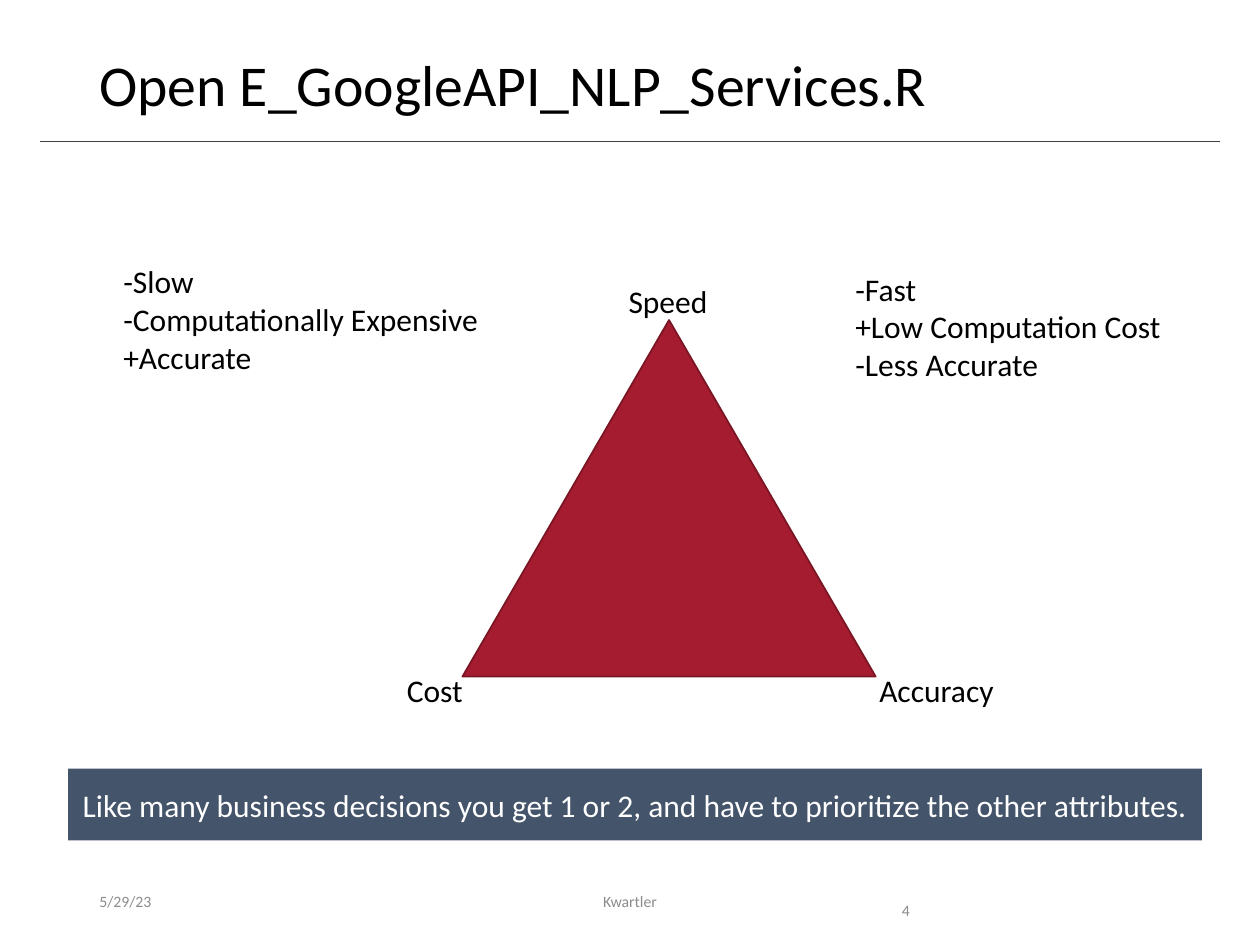
from dataclasses import dataclass

from lxml.etree import SubElement
from pptx import Presentation
from pptx.dml.color import RGBColor
from pptx.enum.shapes import MSO_CONNECTOR, MSO_SHAPE
from pptx.enum.text import MSO_ANCHOR, MSO_AUTO_SIZE, PP_ALIGN
from pptx.oxml.ns import qn
from pptx.slide import Slide
from pptx.text.text import TextFrame
from pptx.util import Inches, Pt

COLORS = {
    "black": "000000",
    "white": "FFFFFF",
    "footer": "8C8C8C",
    "rule": "404040",
    "crimson": "A51C30",
    "crimson_edge": "7A1524",
    "slate": "44546A",
}


@dataclass(frozen=True)
class Label:
    """A block of text lines with its place and style."""

    lines: tuple[str, ...]
    left: float
    top: float
    width: float
    height: float = 0.4
    size: float = 18
    color: str = "black"
    wrap: bool = False
    align: PP_ALIGN = PP_ALIGN.LEFT
    anchor: MSO_ANCHOR = MSO_ANCHOR.TOP
    spacing: float = 1.0


FOOTER = {"top": 6.95, "size": 9, "color": "footer", "wrap": True}

LABELS = (
    Label(("Open E_GoogleAPI_NLP_Services.R",), 0.69, 0.4, 8.62, 0.65,
          size=33, wrap=True, spacing=0.9),
    Label(("Speed",), 4.89, 2.19, 0.84),
    Label(("Cost",), 3.13, 5.28, 0.65),
    Label(("Accuracy",), 6.88, 5.28, 1.12),
    Label(("-Fast", "+Low Computation Cost", "-Less Accurate"), 6.69, 2.09, 2.66, 1.01),
    Label(("-Slow", "-Computationally Expensive", "+Accurate"), 0.88, 2.03, 3.05, 1.01),
    Label(("5/29/23",), left=0.69, width=2.25, anchor=MSO_ANCHOR.MIDDLE, **FOOTER),
    Label(("Kwartler",), left=3.31, width=3.38, align=PP_ALIGN.CENTER,
          anchor=MSO_ANCHOR.MIDDLE, **FOOTER),
    Label(("4",), left=7.06, width=0.94, spacing=2.0, **FOOTER),
)

BANNER = Label(
    ("Like many business decisions you get 1 or 2, and have to prioritize the other attributes.",),
    0.54, 6.1, 9, 0.57, color="white", wrap=True,
    align=PP_ALIGN.CENTER, anchor=MSO_ANCHOR.MIDDLE,
)


def rgb(name: str) -> RGBColor:
    """Look up a named colour."""
    return RGBColor.from_string(COLORS[name])


def write_text(frame: TextFrame, label: Label) -> None:
    """Fill a text frame with the lines of a label."""
    frame.word_wrap = label.wrap
    frame.auto_size = MSO_AUTO_SIZE.NONE if label.wrap else MSO_AUTO_SIZE.SHAPE_TO_FIT_TEXT
    frame.vertical_anchor = label.anchor
    for index, line in enumerate(label.lines):
        para = frame.add_paragraph() if index else frame.paragraphs[0]
        para.alignment = label.align
        para.line_spacing = label.spacing
        span = para.add_run()
        span.text = line
        span.font.name = "Calibri"
        span.font.size = Pt(label.size)
        span.font.color.rgb = rgb(label.color)


def add_label(page: Slide, label: Label) -> None:
    """Place a label in a text box."""
    box = page.shapes.add_textbox(
        Inches(label.left), Inches(label.top), Inches(label.width), Inches(label.height)
    )
    write_text(box.text_frame, label)


def add_rule(page: Slide) -> None:
    """Draw the thin line below the title."""
    rule = page.shapes.add_connector(
        MSO_CONNECTOR.STRAIGHT, Inches(0.32), Inches(1.12), Inches(9.68), Inches(1.12)
    )
    rule.line.color.rgb = rgb("rule")
    rule.line.width = Pt(0.5)
    SubElement(rule.element.spPr, qn("a:effectLst"))


def add_triangle(page: Slide) -> None:
    """Draw the trade-off triangle."""
    triangle = page.shapes.add_shape(
        MSO_SHAPE.ISOSCELES_TRIANGLE, Inches(3.67), Inches(2.54), Inches(3.28), Inches(2.83)
    )
    triangle.shadow.inherit = False
    triangle.fill.solid()
    triangle.fill.fore_color.rgb = rgb("crimson")
    triangle.line.color.rgb = rgb("crimson_edge")
    triangle.line.width = Pt(1)


def add_banner(page: Slide, label: Label) -> None:
    """Draw the filled bar that holds the takeaway."""
    banner = page.shapes.add_shape(
        MSO_SHAPE.RECTANGLE,
        Inches(label.left), Inches(label.top), Inches(label.width), Inches(label.height),
    )
    banner.shadow.inherit = False
    banner.fill.solid()
    banner.fill.fore_color.rgb = rgb("slate")
    banner.line.fill.background()
    write_text(banner.text_frame, label)


def main() -> None:
    """Build the slide and save it."""
    deck = Presentation()
    deck.slide_width, deck.slide_height = Inches(10), Inches(7.5)
    page = deck.slides.add_slide(deck.slide_layouts[6])
    add_rule(page)
    add_triangle(page)
    for label in LABELS:
        add_label(page, label)
    add_banner(page, BANNER)
    deck.save("out.pptx")


if __name__ == "__main__":
    main()
